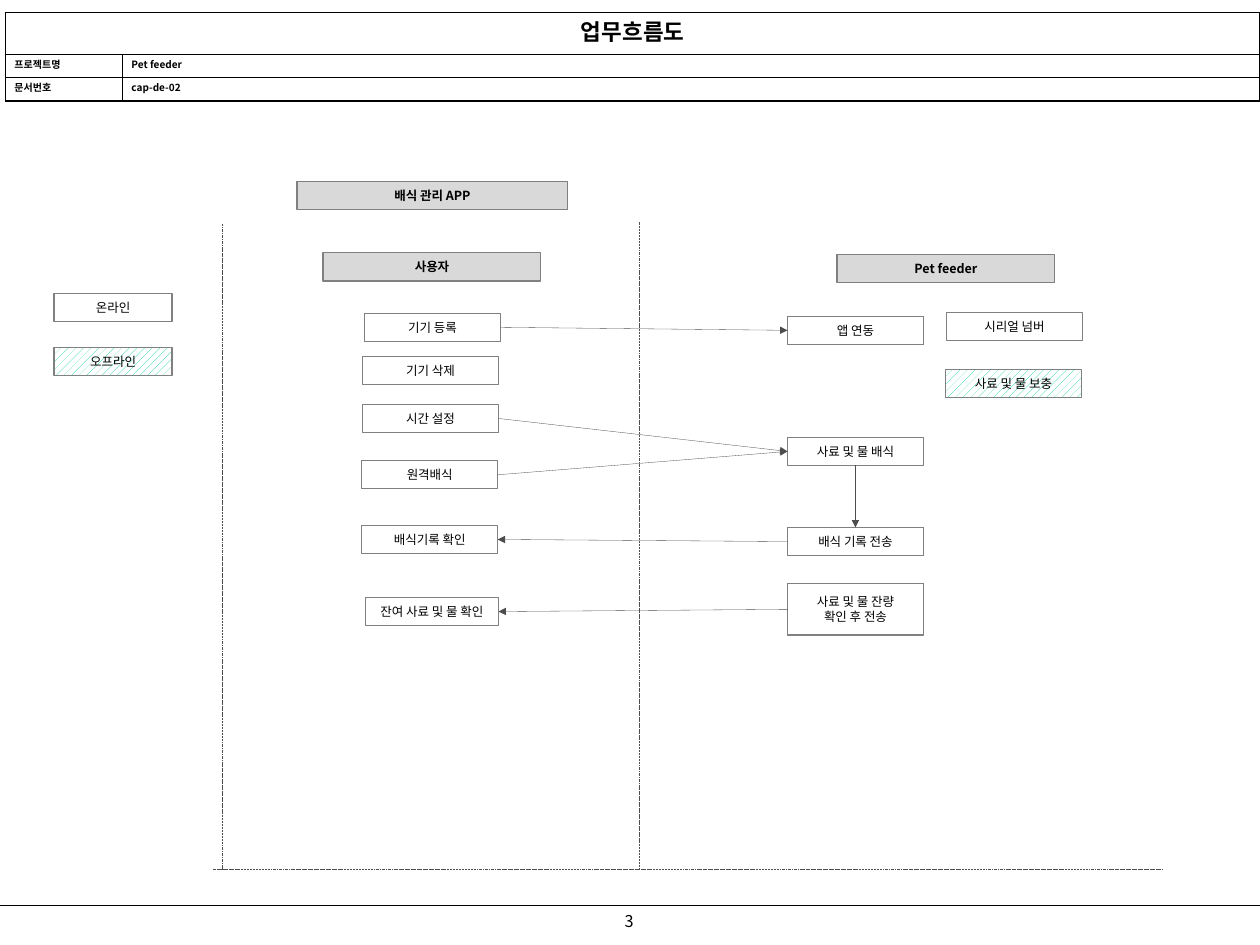
from lxml.etree import SubElement
from pptx import Presentation
from pptx.dml.color import RGBColor
from pptx.enum.dml import MSO_LINE, MSO_PATTERN
from pptx.enum.shapes import MSO_CONNECTOR, MSO_SHAPE
from pptx.enum.text import MSO_ANCHOR, PP_ALIGN
from pptx.oxml.ns import qn
from pptx.util import Pt

FONT = "Noto Sans CJK KR"
BLACK = RGBColor(0, 0, 0)
WHITE = RGBColor(255, 255, 255)
HEADING_GRAY = RGBColor(0xD9, 0xD9, 0xD9)
BORDER_GRAY = RGBColor(0x80, 0x80, 0x80)
FLOW_GRAY = RGBColor(0x4D, 0x4D, 0x4D)
OFFLINE_GREEN = RGBColor(0x00, 0xCC, 0x99)

# Content; all lengths are points
TITLE = "업무흐름도"
DETAILS = [("프로젝트명", "Pet feeder"), ("문서번호", "cap-de-02")]
PAGE_NUMBER = "3"
COLUMN_WIDTHS = [93.7, 910]
ROW_HEIGHTS = [33.6, 18.6, 18.6]

# Groups of boxes: style, width, [(text, left, top)]
BOX_HEIGHT = 22.5
BOX_GROUPS = [
    ("heading", 216.7, [("배식 관리 APP", 237.6, 145.4)]),
    ("heading", 174.2, [("사용자", 258.5, 202.3), ("Pet feeder", 669.6, 203.8)]),
    ("online", 94.5, [("온라인", 43.2, 234.7)]),
    ("offline", 94.5, [("오프라인", 43.2, 277.9)]),
    ("online", 108.7, [
        ("기기 등록", 291.6, 250.6),
        ("기기 삭제", 290, 285.1),
        ("시간 설정", 290, 323.5),
        ("원격배식", 289.4, 368.6),
        ("배식기록 확인", 289.4, 420.3),
        ("앱 연동", 630, 253),
        ("사료 및 물 배식", 630, 349.9),
        ("배식 기록 전송", 630, 422),
        ("사료 및 물 잔량\n확인 후 전송", 630, 467),
        ("시리얼 넘버", 757.2, 249.8),
    ]),
    ("online", 106.6, [("잔여 사료 및 물 확인", 292.2, 478)]),
    ("offline", 109.2, [("사료 및 물 보충", 756.2, 295.7)]),
]

# Flows: from box, side, to box, side
TOP, LEFT, BOTTOM, RIGHT = range(4)
FLOWS = [
    ("기기 등록", RIGHT, "앱 연동", LEFT),
    ("시간 설정", RIGHT, "사료 및 물 배식", LEFT),
    ("원격배식", RIGHT, "사료 및 물 배식", LEFT),
    ("사료 및 물 배식", BOTTOM, "배식 기록 전송", TOP),
    ("배식 기록 전송", LEFT, "배식기록 확인", RIGHT),
    ("사료 및 물 잔량\n확인 후 전송", LEFT, "잔여 사료 및 물 확인", RIGHT),
]
LANE_LINES = [(178, 179, 178, 696), (511.4, 178, 511.4, 695.5),
              (170.6, 695.5, 930.2, 695.5)]
FOOTER_LINE = (0, 724.3, 1008, 724.3)


def write(frame, text, size, bold=False, align=PP_ALIGN.CENTER):
    for index, line in enumerate(text.split("\n")):
        para = frame.add_paragraph() if index else frame.paragraphs[0]
        para.alignment = align
        span = para.add_run()
        span.text = line
        formats = {"name": FONT, "size": Pt(size), "bold": bold}
        for name, value in formats.items():
            setattr(span.font, name, value)
        span.font.color.rgb = BLACK
        SubElement(span.font._element, qn("a:ea"), typeface=FONT)


def add_line(page, ends, color, width, dash=None):
    line = page.shapes.add_connector(MSO_CONNECTOR.STRAIGHT, *map(Pt, ends))
    line.line.color.rgb = color
    line.line.width = Pt(width)
    if dash:
        line.line.dash_style = dash
    SubElement(line._element.spPr, qn("a:effectLst"))
    return line


def add_box(page, text, style, left, top, width):
    height = BOX_HEIGHT if "\n" not in text else 41
    box = page.shapes.add_shape(MSO_SHAPE.RECTANGLE,
                                *map(Pt, (left, top, width, height)))
    box.shadow.inherit = False
    box.line.color.rgb = BORDER_GRAY
    box.line.width = Pt(1)
    if style == "offline":
        box.fill.patterned()
        box.fill.pattern = MSO_PATTERN.PERCENT_20
        box.fill.fore_color.rgb = OFFLINE_GREEN
        box.fill.back_color.rgb = WHITE
    else:
        box.fill.solid()
        box.fill.fore_color.rgb = HEADING_GRAY if style == "heading" else WHITE
    box.text_frame.word_wrap = False
    box.text_frame.vertical_anchor = MSO_ANCHOR.MIDDLE
    write(box.text_frame, text, 10, bold=style == "heading")
    return box


def style_cell(cell):
    formats = {"margin_left": 7.2, "margin_right": 7.2,
               "margin_top": 1.5, "margin_bottom": 1.5}
    for name, value in formats.items():
        setattr(cell, name, Pt(value))
    properties = cell._tc.get_or_add_tcPr()
    for side in ("lnL", "lnR", "lnT", "lnB"):
        border = SubElement(properties, qn(f"a:{side}"), w=str(Pt(1)))
        fill = SubElement(border, qn("a:solidFill"))
        SubElement(fill, qn("a:srgbClr"), val=str(BLACK))
    cell.fill.solid()
    cell.fill.fore_color.rgb = WHITE


def add_document_table(page):
    size = (4.3, 10, sum(COLUMN_WIDTHS), sum(ROW_HEIGHTS))
    table = page.shapes.add_table(len(ROW_HEIGHTS), len(COLUMN_WIDTHS),
                                  *map(Pt, size)).table
    table.first_row = table.horz_banding = False
    for column, width in zip(table.columns, COLUMN_WIDTHS):
        column.width = Pt(width)
    for row, height in zip(table.rows, ROW_HEIGHTS):
        row.height = Pt(height)
    for cell in table.iter_cells():
        style_cell(cell)
    table.cell(0, 0).merge(table.cell(0, 1))
    write(table.cell(0, 0).text_frame, TITLE, 18, bold=True)
    for row, texts in enumerate(DETAILS, 1):
        for column, text in enumerate(texts):
            write(table.cell(row, column).text_frame, text, 8, True, PP_ALIGN.LEFT)


def main():
    deck = Presentation()
    deck.slide_width, deck.slide_height = Pt(1008), Pt(756)
    page = deck.slides.add_slide(deck.slide_layouts[6])

    # Footer
    add_line(page, FOOTER_LINE, BLACK, 1)
    number = page.shapes.add_textbox(*map(Pt, (483.8, 724.3, 38.9, 25.2)))
    number.text_frame.word_wrap = False
    number.text_frame.margin_top = Pt(5)
    write(number.text_frame, PAGE_NUMBER, 13)

    # Document header and lanes
    add_document_table(page)
    for ends in LANE_LINES:
        add_line(page, ends, FLOW_GRAY, 0.25, MSO_LINE.DASH_DOT_DOT)

    # Boxes
    boxes = {}
    for style, width, items in BOX_GROUPS:
        for text, left, top in items:
            boxes[text] = add_box(page, text, style, left, top, width)

    # Arrows between boxes
    for start, start_side, end, end_side in FLOWS:
        arrow = add_line(page, (0, 0, 0, 0), FLOW_GRAY, 0.25)
        arrow.begin_connect(boxes[start], start_side)
        arrow.end_connect(boxes[end], end_side)
        SubElement(arrow.line._get_or_add_ln(), qn("a:tailEnd"), type="triangle")

    deck.save("out.pptx")


if __name__ == "__main__":
    main()
